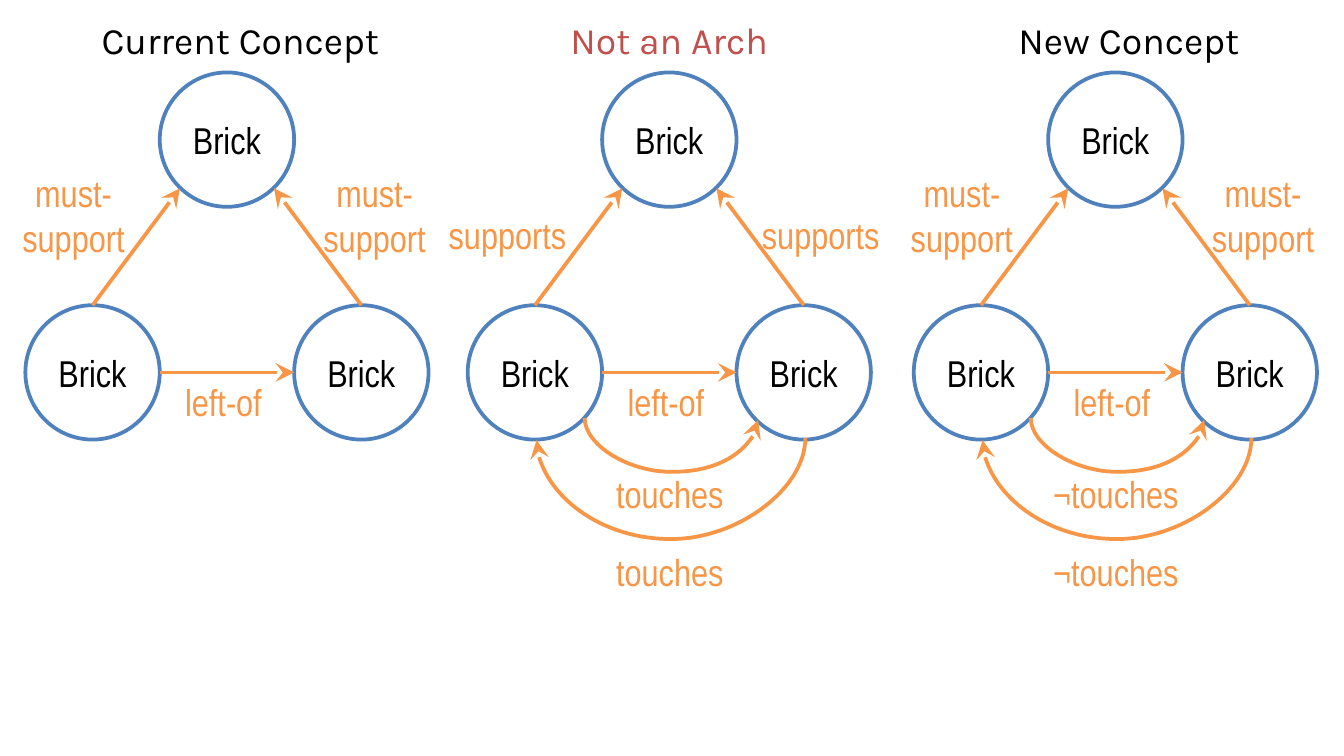
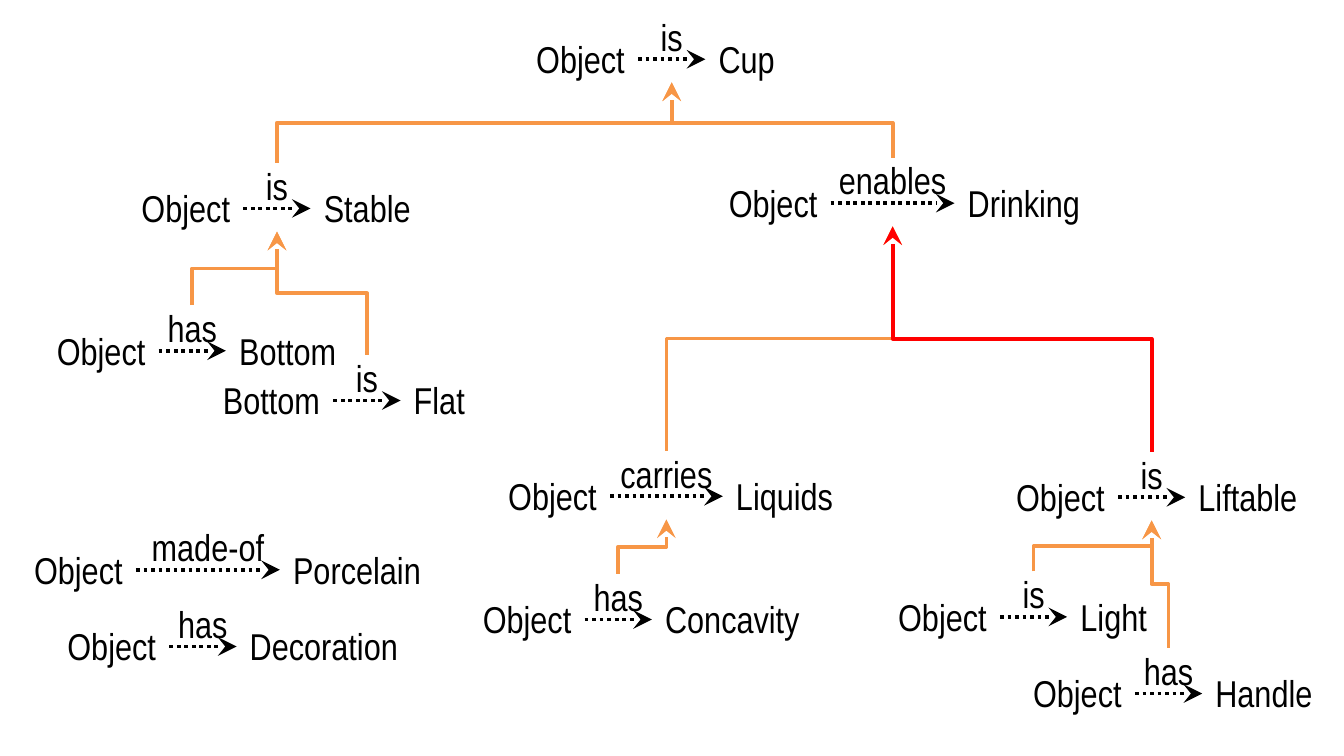
from lxml import etree
from pptx import Presentation
from pptx.dml.color import RGBColor
from pptx.enum import dml, shapes, text
from pptx.oxml import ns
from pptx.util import Cm, Pt

BLACK, WHITE = "000000", "FFFFFF"
BLUE, ORANGE, CRIMSON, RED = "4F81BD", "F79646", "C0504D", "FF0000"
BODY_FONT, TITLE_FONT = "Arial Narrow", "Karla"
LEFT, CENTER, RIGHT = text.PP_ALIGN.LEFT, text.PP_ALIGN.CENTER, text.PP_ALIGN.RIGHT

BRICK = 2.54
ROW_HEIGHT = 1.02
SUBJECT_WIDTH = {"Object": 2.67, "Bottom": 2.92}

# left edge, title, title width, title colour, support label, touch label
CONCEPTS = [
    (0.48, "Current Concept", 8.13, BLACK, "must-\vsupport", None),
    (8.84, "Not an Arch", 7.62, CRIMSON, "supports", "touches"),
    (17.27, "New Concept", 8.13, BLACK, "must-\vsupport", "¬touches"),
]

# arrow left, arrow height, arrow length, subject, verb, value, value width
RELATIONS = [
    (12.06, 1.12, 1.27, "Object", "is", "Cup", 1.70),
    (4.60, 3.94, 1.27, "Object", "is", "Stable", 2.87),
    (15.70, 3.84, 2.34, "Object", "enables", "Drinking", 3.20),
    (3.00, 6.63, 1.27, "Object", "has", "Bottom", 2.87),
    (6.30, 7.57, 1.27, "Bottom", "is", "Flat", 1.80),
    (11.53, 9.38, 2.13, "Object", "carries", "Liquids", 2.67),
    (21.13, 9.40, 1.27, "Object", "is", "Liftable", 2.77),
    (11.05, 11.71, 1.27, "Object", "has", "Concavity", 3.63),
    (18.90, 11.66, 1.27, "Object", "is", "Light", 2.77),
    (21.45, 13.11, 1.27, "Object", "has", "Handle", 2.67),
    (2.57, 10.77, 2.72, "Object", "made-of", "Porcelain", 3.20),
    (3.20, 12.22, 1.27, "Object", "has", "Decoration", 3.78),
]

# supporting value, supported value, colour, place of the bend
SUPPORTS = [
    ("Bottom", "Stable", ORANGE, 0.5),
    ("Flat", "Stable", ORANGE, 0.5),
    ("Concavity", "Liquids", ORANGE, 0.5),
    ("Light", "Liftable", ORANGE, 0.5),
    ("Handle", "Liftable", ORANGE, 0.5),
    ("Liquids", "Drinking", ORANGE, 0.5),
    ("Liftable", "Drinking", RED, 0.5),
    ("Stable", "Cup", ORANGE, 0.5),
    ("Drinking", "Cup", ORANGE, 0.46),
]


def rgb(value):
    return RGBColor.from_string(value)


def write(frame, words, color, align, font=BODY_FONT):
    para = frame.paragraphs[0]
    para.text = words
    para.alignment = align
    para.font.name = font
    para.font.size = Pt(20)
    para.font.color.rgb = rgb(color)


def clear_margins(frame):
    frame.margin_left = frame.margin_right = frame.margin_top = frame.margin_bottom = 0


def add_text(page, place, words, color, align=CENTER, font=BODY_FONT, wrap=True):
    box = page.shapes.add_textbox(*map(Cm, place))
    box.text_frame.word_wrap = wrap
    write(box.text_frame, words, color, align, font)
    return box


def add_brick(page, left, top):
    brick = page.shapes.add_shape(
        shapes.MSO_SHAPE.OVAL, Cm(left), Cm(top), Cm(BRICK), Cm(BRICK))
    brick.shadow.inherit = False
    brick.fill.solid()
    brick.fill.fore_color.rgb = rgb(WHITE)
    brick.line.color.rgb = rgb(BLUE)
    brick.line.width = Pt(2)
    frame = brick.text_frame
    clear_margins(frame)
    frame.vertical_anchor = text.MSO_ANCHOR.MIDDLE
    write(frame, "Brick", BLACK, CENTER)


def add_arrow(page, start, end, color, kind=shapes.MSO_CONNECTOR.STRAIGHT, dotted=False):
    arrow = page.shapes.add_connector(kind, *map(Cm, (*start, *end)))
    arrow.line.color.rgb = rgb(color)
    arrow.line.width = Pt(2)
    if dotted:
        arrow.line.dash_style = dml.MSO_LINE.ROUND_DOT
    line = arrow.line._get_or_add_ln()
    etree.SubElement(line, ns.qn("a:tailEnd"), type="stealth", w="lg", len="lg")
    etree.SubElement(arrow._element.spPr, ns.qn("a:effectLst"))
    return arrow


def add_upright_arrow(page, start, end, color, kind, bend):
    """Arrow that leaves and arrives vertically; bend is a share of its rise."""
    (x1, y1), (x2, y2) = start, end
    rise, run = abs(y2 - y1), abs(x2 - x1)
    left, top = (x1 + x2 - rise) / 2, (y1 + y2 - run) / 2
    arrow = add_arrow(page, (left, top), (left + rise, top + run), color, kind)
    rightward, upward = x2 > x1, y2 < y1
    frame = arrow._element.spPr.find(ns.qn("a:xfrm"))
    frame.set("rot", str((90 if rightward == upward else 270) * 60000))
    frame.set("flipH", str(int(rightward)))
    frame.set("flipV", str(int(upward)))
    guides = arrow._element.spPr.find(ns.qn("a:prstGeom")).find(ns.qn("a:avLst"))
    etree.SubElement(guides, ns.qn("a:gd"), name="adj1", fmla=f"val {round(bend * 100000)}")


def add_touch(page, start_x, end_x, top, dip, label, label_place):
    drop = 0.04
    add_upright_arrow(page, (start_x, top), (end_x, top + drop), ORANGE,
                      shapes.MSO_CONNECTOR.CURVE, dip / drop)
    add_text(page, label_place, label, ORANGE, wrap=False)


def add_concept(page, left, title, width, color, support, touch):
    add_text(page, (left, 0.2, width, ROW_HEIGHT), title, color, font=TITLE_FONT)
    top, base = 1.37, 5.77
    for x, y in ((BRICK, top), (0, base), (2 * BRICK, base)):
        add_brick(page, left + x, y)

    for foot, tip in ((1.27, 2.92), (6.35, 4.7)):
        add_arrow(page, (left + foot, base), (left + tip, 3.56), ORANGE)
    middle = base + BRICK / 2
    add_arrow(page, (left + BRICK, middle), (left + 2 * BRICK, middle), ORANGE)
    add_text(page, (left + 2.41, middle, 2.67, ROW_HEIGHT), "left-of", ORANGE, wrap=False)

    if "\v" in support:
        offsets, y, height, align = (-0.48, 5.21), 3.1, 1.8, CENTER
    else:
        offsets, y, height, align = (-0.61, 5.31), 3.89, 1.12, LEFT
    for offset in offsets:
        add_text(page, (left + offset, y, 2.78, height), support, ORANGE, align, wrap=False)

    if touch:
        label_left, label_width = left + 2.22, 3.2
        add_touch(page, left + 2.21, left + 5.49, 7.9, 1.02, touch,
                  (label_left, 8.79, label_width, ROW_HEIGHT))
        add_touch(page, left + 6.38, left + 1.3, 8.28, 1.91, touch,
                  (label_left, 10.26, label_width, ROW_HEIGHT))


def add_relation(page, left, y, length, subject, verb, value, value_width):
    """Subject and value joined by a dotted arrow that carries the verb."""
    top, right = y - 0.56, left + length
    width = min(SUBJECT_WIDTH[subject], left)
    add_text(page, (left - width, top, width, 1.12), subject, BLACK, RIGHT)
    add_text(page, (right, top, value_width, 1.12), value, BLACK, LEFT)
    add_arrow(page, (left, y), (right, y), BLACK, dotted=True)
    label = add_text(page, (left, y - 0.86, length, 1.3), verb, BLACK)
    clear_margins(label.text_frame)


def main():
    deck = Presentation()
    deck.slide_width, deck.slide_height = Cm(25.4), Cm(14.29)
    arch_page, cup_page = (deck.slides.add_slide(deck.slide_layouts[6]) for _ in range(2))

    for concept in CONCEPTS:
        add_concept(arch_page, *concept)

    centers = {}
    for relation in RELATIONS:
        add_relation(cup_page, *relation)
        left, y, length, _, _, value, _ = relation
        centers[value] = (left + length / 2, y)
    for child, parent, color, bend in SUPPORTS:
        (x1, y1), (x2, y2) = centers[child], centers[parent]
        add_upright_arrow(cup_page, (x1, y1 - 0.86), (x2, y2 + 0.44), color,
                          shapes.MSO_CONNECTOR.ELBOW, bend)
    deck.save("out.pptx")


if __name__ == "__main__":
    main()
